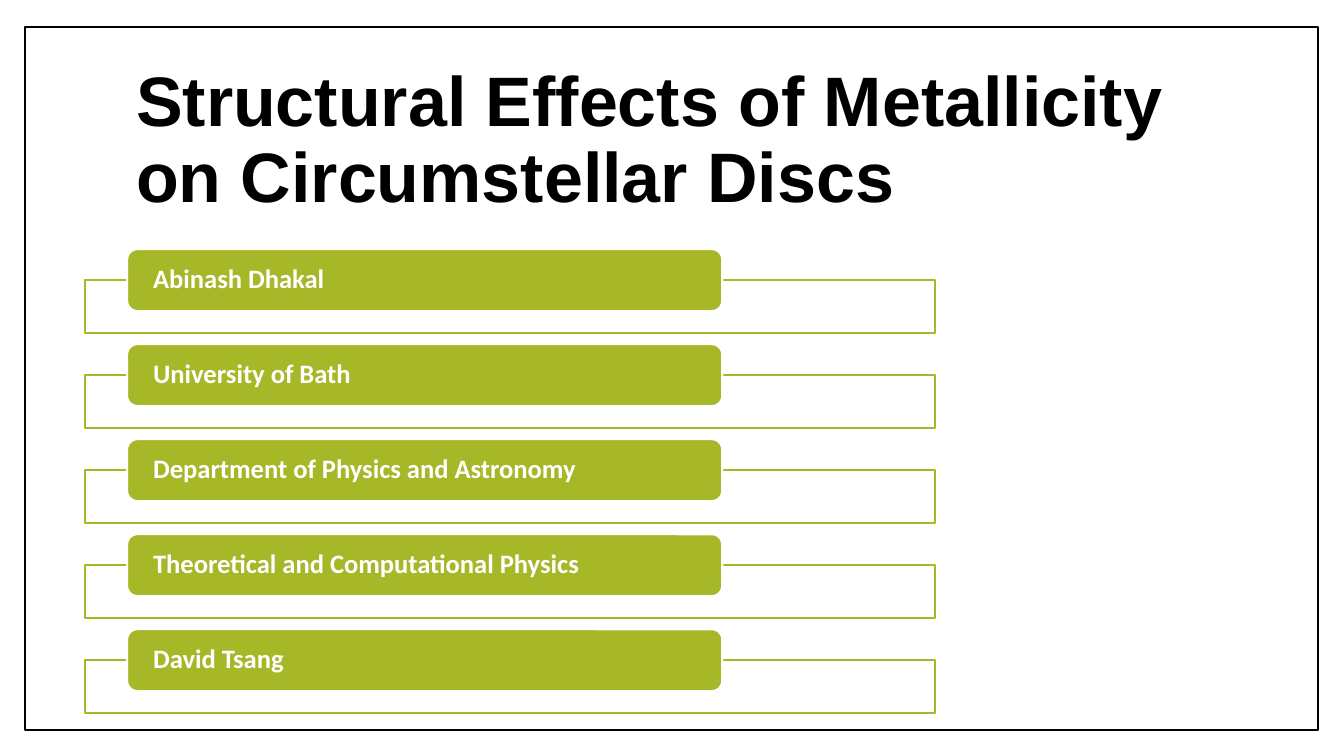
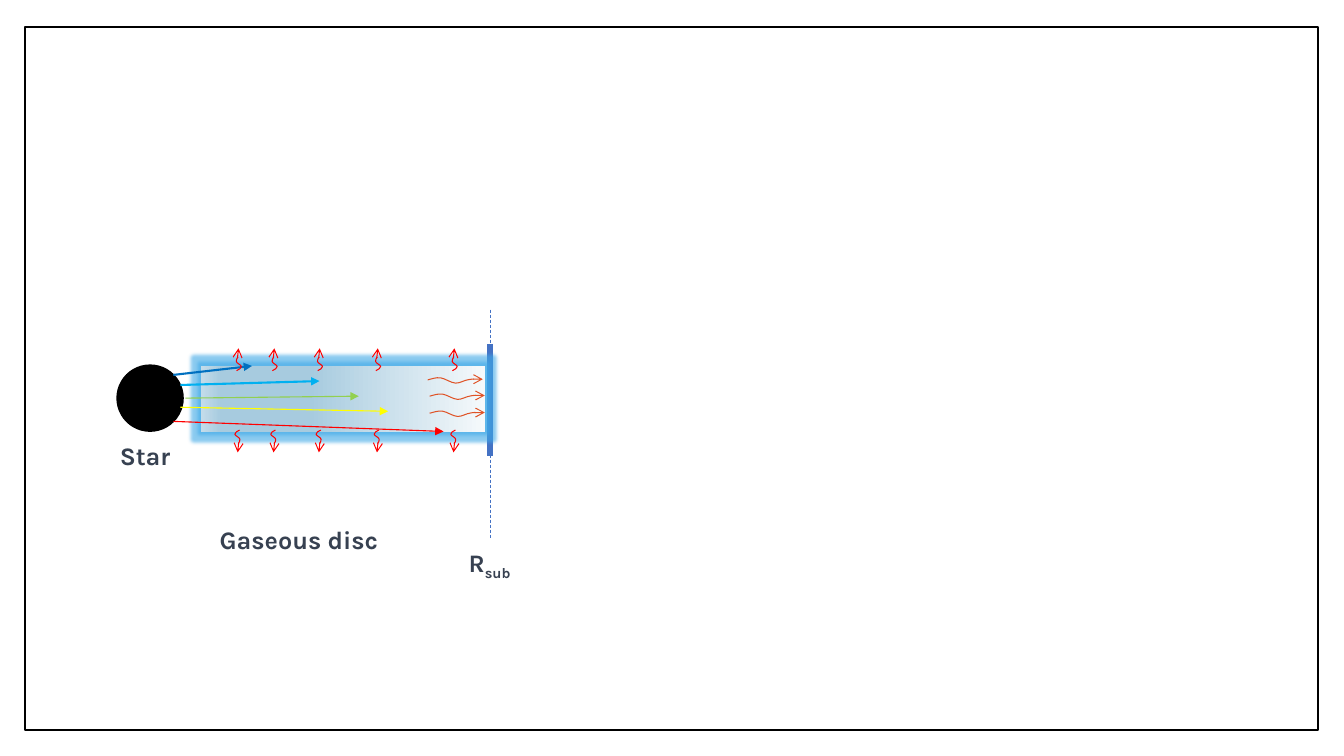
"""Build two slides on metallicity and circumstellar discs."""
from dataclasses import dataclass

from lxml import etree
from pptx import Presentation
from pptx.dml.color import RGBColor
from pptx.enum.dml import MSO_LINE
from pptx.enum.shapes import MSO_CONNECTOR, MSO_SHAPE
from pptx.enum.text import MSO_ANCHOR, MSO_AUTO_SIZE, PP_ALIGN
from pptx.oxml import parse_xml
from pptx.oxml.ns import qn
from pptx.util import Pt

RECT, ROUND, OVAL = MSO_SHAPE.RECTANGLE, MSO_SHAPE.ROUNDED_RECTANGLE, MSO_SHAPE.OVAL
STRAIGHT = MSO_CONNECTOR.STRAIGHT
DASH = MSO_LINE.DASH
LEFT, MIDDLE, TOP = PP_ALIGN.LEFT, MSO_ANCHOR.MIDDLE, MSO_ANCHOR.TOP
NO_FIT, GROW = MSO_AUTO_SIZE.NONE, MSO_AUTO_SIZE.SHAPE_TO_FIT_TEXT
A_NS = 'xmlns:a="http://schemas.openxmlformats.org/drawingml/2006/main"'


@dataclass(frozen=True)
class Theme:
    """Colours, fonts and type styles."""
    black: str = "000000"
    white: str = "FFFFFF"
    green: str = "A6B727"
    ink: str = "374151"
    blue: str = "4472C4"
    red: str = "FF0000"
    orange: str = "DF5327"
    glow: str = "3FA9E8"
    title: tuple = ("Arial", 50)
    item: tuple = ("Calibri", 19)
    label: tuple = ("Karla", 18)


T = Theme()

TITLE = "Structural Effects of Metallicity on Circumstellar Discs"
ITEMS = [
    "Abinash Dhakal",
    "University of Bath",
    "Department of Physics and Astronomy",
    "Theoretical and Computational Physics",
    "David Tsang",
]
LABELS = [
    (("R", "sub"), (327.6, 387.4, 46.8, 28.8), False),
    (("Star",), (78.5, 311, 52, 28.8), True),
    (("Gaseous disc",), (149.8, 370.8, 160.6, 28.8), True),
]
RAYS = [
    ((123.8, 267.8), (180, 261.4), "0070C0", 1.5),
    ((132.5, 284.4), (256.3, 283), "92D050", 0.79),
    ((128.9, 275), (228.2, 272.2), "00B0F0", 1.5),
    ((128.9, 290.9), (277.2, 293.8), "FFFF00", 0.79),
    ((123.8, 301), (316.8, 308.2), T.red, 0.79),
]
DISC_STOPS = [(0, "F5F9FB"), (62, "A7CBDF"), (93, "A7CBDF"), (100, "C4DCEA")]
HEAT_X = [171.2, 196.8, 229.2, 270.7, 325.4]
HEAT_TOP, HEAT_BOTTOM, HEAT_SHIFT = 264.8, 307.2, -2.2
HEAT_WAVE = [
    (0, 0), (-1.8, 0.8), (-3.4, 1.8), (-3.4, 3), (-3.4, 4.1), (0, 5.2), (0.2, 6.6),
    (0.4, 8), (-1.3, 9.8), (-1.6, 11.2), (-1.9, 12.7), (-1.4, 14.8), (-1.4, 16),
]
FLOW_STARTS = [(305.5, 271.4), (306.9, 283), (306.9, 295.2)]
FLOW_WAVE = [
    (0, 0), (2.9, -0.7), (5.8, -1.9), (9.2, -1.5), (12.4, -1), (16.6, 2.1), (20, 2.3),
    (23, 2.4), (26.1, 0.2), (29.3, -0.2), (32.4, -0.7), (36, -0.5), (39.4, -0.5),
]


def set_all(obj, **values):
    for name, value in values.items():
        setattr(obj, name, value)


def pts(*values):
    return [Pt(v) for v in values]


def style_line(sp, color, width, head=None):
    sp.line.color.rgb = RGBColor.from_string(color)
    sp.line.width = Pt(width)
    if head:
        ln = sp.line._get_or_add_ln()
        etree.SubElement(ln, qn("a:tailEnd"), type=head)


def add_box(slide, kind, box, fill, line=None, width=1):
    sp = slide.shapes.add_shape(kind, *pts(*box))
    sp.shadow.inherit = False
    sp.fill.solid()
    sp.fill.fore_color.rgb = RGBColor.from_string(fill)
    if line:
        style_line(sp, line, width)
    else:
        sp.line.fill.background()
    return sp


def add_line(slide, start, end, color, width, head=None, dash=None):
    sp = slide.shapes.add_connector(STRAIGHT, *pts(*start, *end))
    style_line(sp, color, width, head)
    if dash:
        sp.line.dash_style = dash
    etree.SubElement(sp._element.spPr, qn("a:effectLst"))


def write(sp, words, style, color, frame, paragraph):
    tf = sp.text_frame
    set_all(tf, **{"word_wrap": True, "auto_size": NO_FIT, **frame})
    p = tf.paragraphs[0]
    set_all(p, alignment=LEFT, **paragraph)
    for i, word in enumerate(words):
        r = p.add_run()
        r.text = word
        set_all(r.font, name=style[0], size=Pt(style[1]), bold=True)
        r.font.color.rgb = RGBColor.from_string(color)
        if i:
            r.font._element.set("baseline", "-25000")


def bend(sp):
    """Turn each three line segments into one cubic Bezier segment."""
    outline = next(sp._element.iter(qn("a:path")))
    segments = outline.findall(qn("a:lnTo"))
    for i in range(0, len(segments), 3):
        cubic = etree.SubElement(outline, qn("a:cubicBezTo"))
        for segment in segments[i:i + 3]:
            cubic.append(segment[0])
            outline.remove(segment)


def add_wave(slide, start, wave, color, sign=1):
    points = [pts(start[0] + sign * x, start[1] + sign * y) for x, y in wave]
    builder = slide.shapes.build_freeform(*points[0], scale=1.0)
    builder.add_line_segments(points[1:], close=False)
    sp = builder.convert_to_shape()
    bend(sp)
    sp.shadow.inherit = False
    sp.fill.background()
    style_line(sp, color, 0.75, "arrow")


def add_disc(slide):
    sp = add_box(slide, RECT, (143.7, 261.4, 203, 47), T.white)
    stops = "".join(f'<a:gs pos="{pos * 1000}"><a:srgbClr val="{c}"/></a:gs>'
                    for pos, c in DISC_STOPS)
    grad = parse_xml(f'<a:gradFill {A_NS} rotWithShape="1"><a:gsLst>{stops}</a:gsLst>'
                     '<a:lin ang="10800000" scaled="0"/></a:gradFill>')
    spPr = sp._element.spPr
    spPr.replace(spPr.find(qn("a:solidFill")), grad)
    glow = parse_xml(f'<a:glow {A_NS} rad="{Pt(5)}"><a:srgbClr val="{T.glow}">'
                     '<a:alpha val="60000"/></a:srgbClr></a:glow>')
    spPr.find(qn("a:effectLst")).append(glow)


def add_frame(prs, slide):
    sp = add_box(slide, RECT, (18, 19.4, 923.4, 502), T.white, T.black)
    prs.slide_master.shapes._spTree.insert(2, sp._element)


def build_title(slide):
    title = slide.shapes.title
    set_all(title, **dict(zip(("left", "top", "width", "height"),
                              pts(90, 48.2, 777.6, 106.6))))
    write(title, [TITLE], T.title, T.black,
          {"vertical_anchor": MIDDLE}, {"line_spacing": 0.9})
    for i, item in enumerate(ITEMS):
        top = 178 + i * 67.86
        add_box(slide, RECT, (60.5, top + 22.1, 607.3, 37.8), T.white, T.green, 1.5)
        sp = add_box(slide, ROUND, (90.8, top, 425.1, 44.2), T.green, T.white, 1.5)
        write(sp, [item], T.item, T.white,
              {"vertical_anchor": MIDDLE, "margin_left": Pt(16.4),
               "margin_right": Pt(16.4), "margin_top": 0, "margin_bottom": 0},
              {"line_spacing": 0.9})


def build_disc(slide):
    add_line(slide, (350.2, 245.6), (350.2, 325.6), T.blue, 4.5)
    add_line(slide, (350.2, 221.2), (350.2, 385.2), T.blue, 0.5, dash=DASH)
    add_box(slide, OVAL, (83.6, 260.8, 47.2, 47.2), T.black, T.black)
    for words, box, wrap in LABELS:
        write(slide.shapes.add_textbox(*pts(*box)), words, T.label, T.ink,
              {"vertical_anchor": TOP, "word_wrap": wrap, "auto_size": GROW},
              {"space_after": Pt(8)})
    add_disc(slide)
    for start, end, color, width in RAYS:
        add_line(slide, start, end, color, width, "triangle")
    for x in HEAT_X:
        add_wave(slide, (x, HEAT_BOTTOM), HEAT_WAVE, T.red)
    for x in HEAT_X:
        add_wave(slide, (x + HEAT_SHIFT, HEAT_TOP), HEAT_WAVE, T.red, -1)
    for start in FLOW_STARTS:
        add_wave(slide, start, FLOW_WAVE, T.orange)


def main():
    prs = Presentation()
    set_all(prs, slide_width=Pt(960), slide_height=Pt(540))
    title_only, blank = prs.slide_layouts[5], prs.slide_layouts[6]
    first = prs.slides.add_slide(title_only)
    add_frame(prs, first)
    build_title(first)
    build_disc(prs.slides.add_slide(blank))
    prs.save("out.pptx")


if __name__ == "__main__":
    main()
